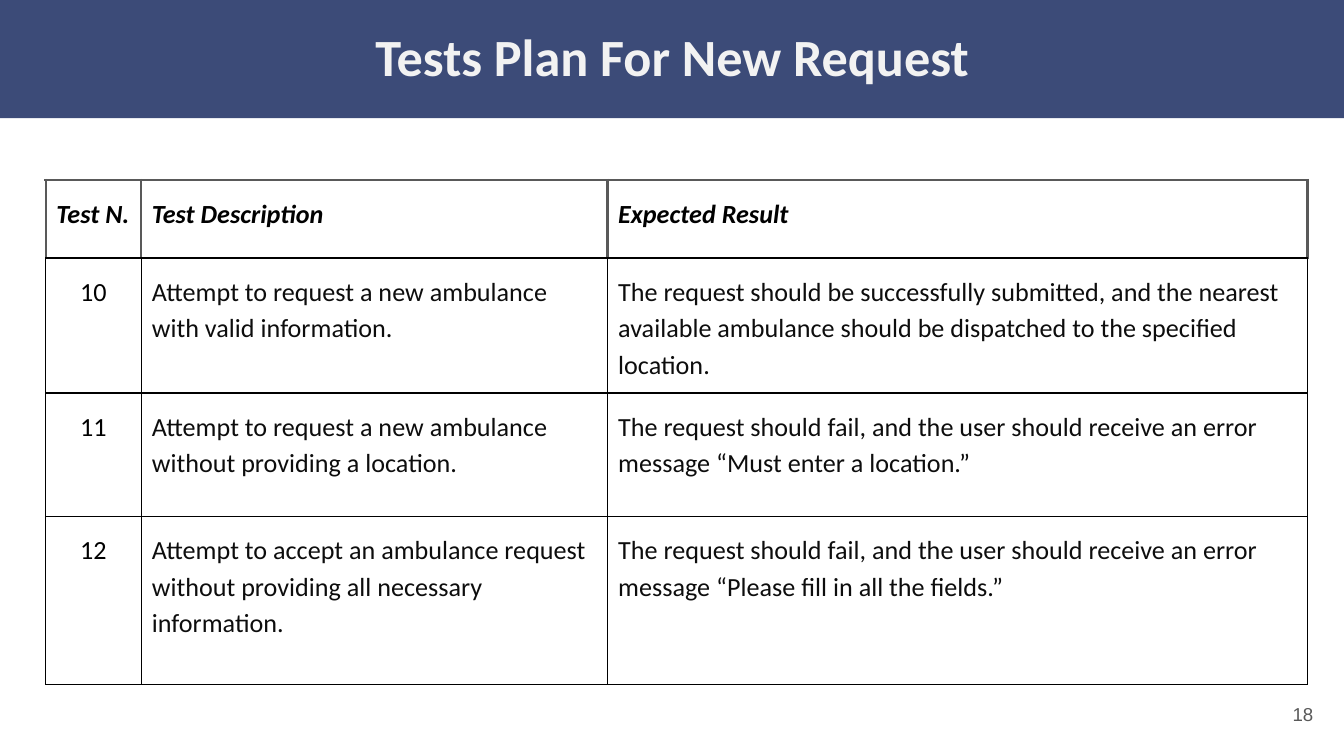
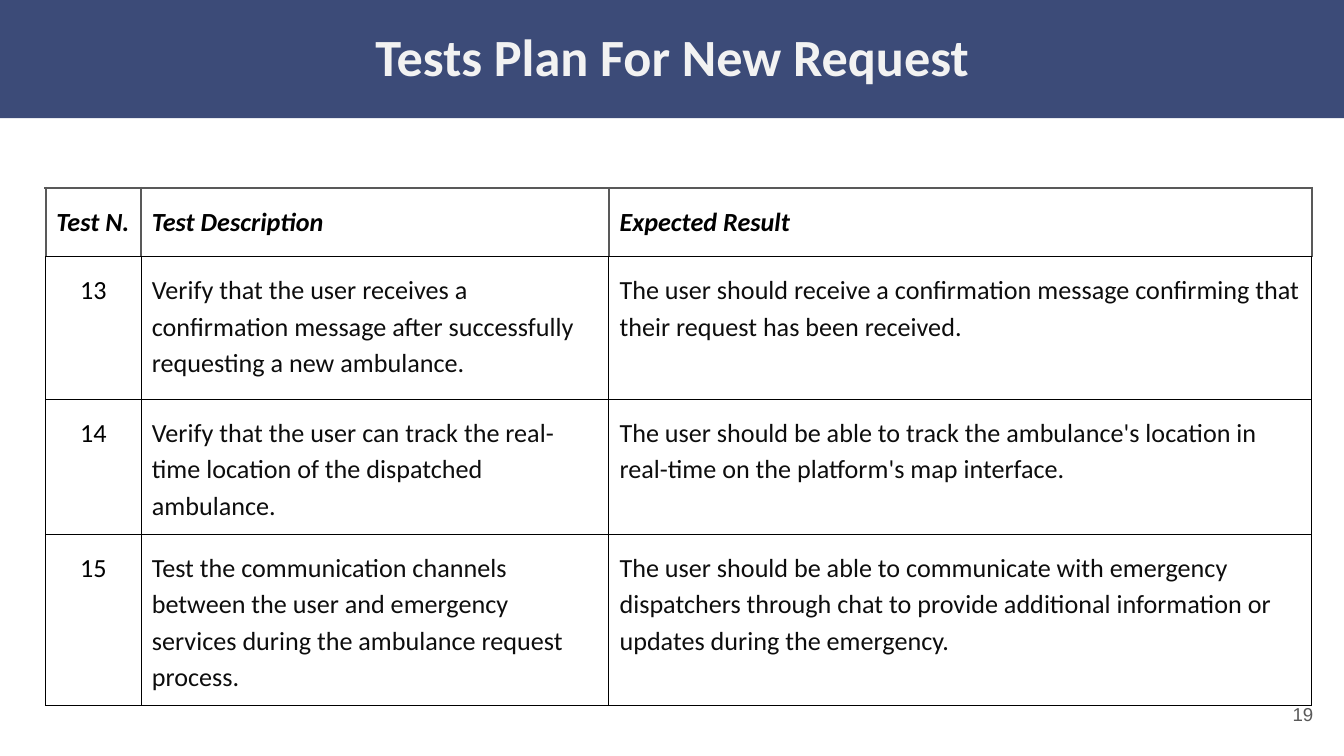
from lxml.etree import SubElement
from pptx import Presentation
from pptx.dml.color import RGBColor
from pptx.enum.shapes import MSO_SHAPE
from pptx.enum.text import MSO_ANCHOR, PP_ALIGN
from pptx.oxml.ns import qn
from pptx.util import Inches, Pt

NAVY = RGBColor(0x3C, 0x4B, 0x78)
PALE = RGBColor(0xF2, 0xF2, 0xF2)
GREY = RGBColor(0x59, 0x59, 0x59)
BLACK = RGBColor(0, 0, 0)
INK = RGBColor(0x0D, 0x0D, 0x0D)

WIDTH = 10
HEIGHT = WIDTH * 9 / 16
BAND_HEIGHT = 0.88
TABLE_LEFT = 0.34

TITLE = {"name": "Calibri", "size": Pt(28), "bold": True}
NUMBER = {"name": "Arial", "size": Pt(10)}
BODY = {"name": "Calibri", "size": Pt(14), "bold": False, "italic": False}
HEADER = {**BODY, "bold": True, "italic": True}

HEADINGS = ("Test N.", "Test Description", "Expected Result")
PLANS = [
    {
        "page": 18, "top": 1.34,
        "cols": (0.71, 3.47, 5.21), "rows": (0.58, 0.95, 0.92, 1.25),
        "tests": [
            ("10", "Attempt to request a new ambulance with valid information.",
             "The request should be successfully submitted, and the nearest available "
             "ambulance should be dispatched to the specified location."),
            ("11", "Attempt to request a new ambulance without providing a location.",
             "The request should fail, and the user should receive an error message "
             "“Must enter a location.”"),
            ("12", "Attempt to accept an ambulance request without providing all "
             "necessary information.",
             "The request should fail, and the user should receive an error message "
             "“Please fill in all the fields.”"),
        ],
    },
    {
        "page": 19, "top": 1.4,
        "cols": (0.71, 3.48, 5.23), "rows": (0.51, 1.06, 0.78, 1.06),
        "tests": [
            ("13", "Verify that the user receives a confirmation message after "
             "successfully requesting a new ambulance.",
             "The user should receive a confirmation message confirming that their "
             "request has been received."),
            ("14", "Verify that the user can track the real-time location of the "
             "dispatched ambulance.",
             "The user should be able to track the ambulance's location in real-time "
             "on the platform's map interface."),
            ("15", "Test the communication channels between the user and emergency "
             "services during the ambulance request process.",
             "The user should be able to communicate with emergency dispatchers "
             "through chat to provide additional information or updates during the "
             "emergency."),
        ],
    },
]


def set_margins(obj, x, y):
    for side, value in {"left": x, "right": x, "top": y, "bottom": y}.items():
        setattr(obj, f"margin_{side}", Inches(value))


def write(tf, text, style, color, align, spacing=1.0):
    tf.word_wrap = True
    p = tf.paragraphs[0]
    p.alignment = align
    p.line_spacing = spacing
    r = p.add_run()
    r.text = text
    for name, value in style.items():
        setattr(r.font, name, value)
    r.font.color.rgb = color


def add_page_number(slide, page):
    box = slide.shapes.add_textbox(Inches(9.27), Inches(5.1), Inches(0.6), Inches(0.43))
    tf = box.text_frame
    set_margins(tf, 0.1, 0.1)
    tf.vertical_anchor = MSO_ANCHOR.MIDDLE
    write(tf, str(page), NUMBER, GREY, PP_ALIGN.RIGHT)


def add_title_band(slide, title):
    sp = slide.shapes.add_shape(MSO_SHAPE.RECTANGLE, 0, 0, Inches(WIDTH), Inches(BAND_HEIGHT))
    sp.shadow.inherit = False
    sp.fill.solid()
    sp.fill.fore_color.rgb = NAVY
    sp.line.fill.background()
    tf = sp.text_frame
    set_margins(tf, 0.1, 0.1)
    tf.vertical_anchor = MSO_ANCHOR.MIDDLE
    write(tf, title, TITLE, PALE, PP_ALIGN.CENTER, 0.9)


def set_borders(cell, is_header):
    """Thin black edges; a header has heavier grey ones except at its bottom."""
    tcPr = cell._tc.get_or_add_tcPr()
    for edge in "LRTB":
        heavy = is_header and edge != "B"
        color, width = (GREY, 1.5) if heavy else (BLACK, 0.75)
        ln = SubElement(tcPr, qn(f"a:ln{edge}"), w=str(Pt(width)))
        fill = SubElement(ln, qn("a:solidFill"))
        SubElement(fill, qn("a:srgbClr"), val=str(color))


def fill_cell(cell, text, is_header, is_number):
    set_borders(cell, is_header)
    cell.fill.background()
    set_margins(cell, 0.08, 0.1)
    cell.vertical_anchor = MSO_ANCHOR.TOP
    centred = is_number and not is_header
    write(cell.text_frame, text,
          HEADER if is_header else BODY,
          BLACK if is_header or is_number else INK,
          PP_ALIGN.CENTER if centred else PP_ALIGN.LEFT, 1.15)


def add_test_table(slide, top, cols, rows, tests):
    table = slide.shapes.add_table(
        len(rows), len(cols), Inches(TABLE_LEFT), Inches(top),
        Inches(sum(cols)), Inches(sum(rows))).table
    table.horz_banding = False
    for col, width in zip(table.columns, cols):
        col.width = Inches(width)
    for row, height in zip(table.rows, rows):
        row.height = Inches(height)
    for i, texts in enumerate([HEADINGS, *tests]):
        for j, text in enumerate(texts):
            fill_cell(table.cell(i, j), text, i == 0, j == 0)


def main():
    prs = Presentation()
    prs.slide_width, prs.slide_height = Inches(WIDTH), Inches(HEIGHT)
    for plan in PLANS:
        slide = prs.slides.add_slide(prs.slide_layouts[6])
        add_page_number(slide, plan["page"])
        add_title_band(slide, "Tests Plan For New Request")
        add_test_table(slide, plan["top"], plan["cols"], plan["rows"], plan["tests"])
    prs.save("out.pptx")


if __name__ == "__main__":
    main()
